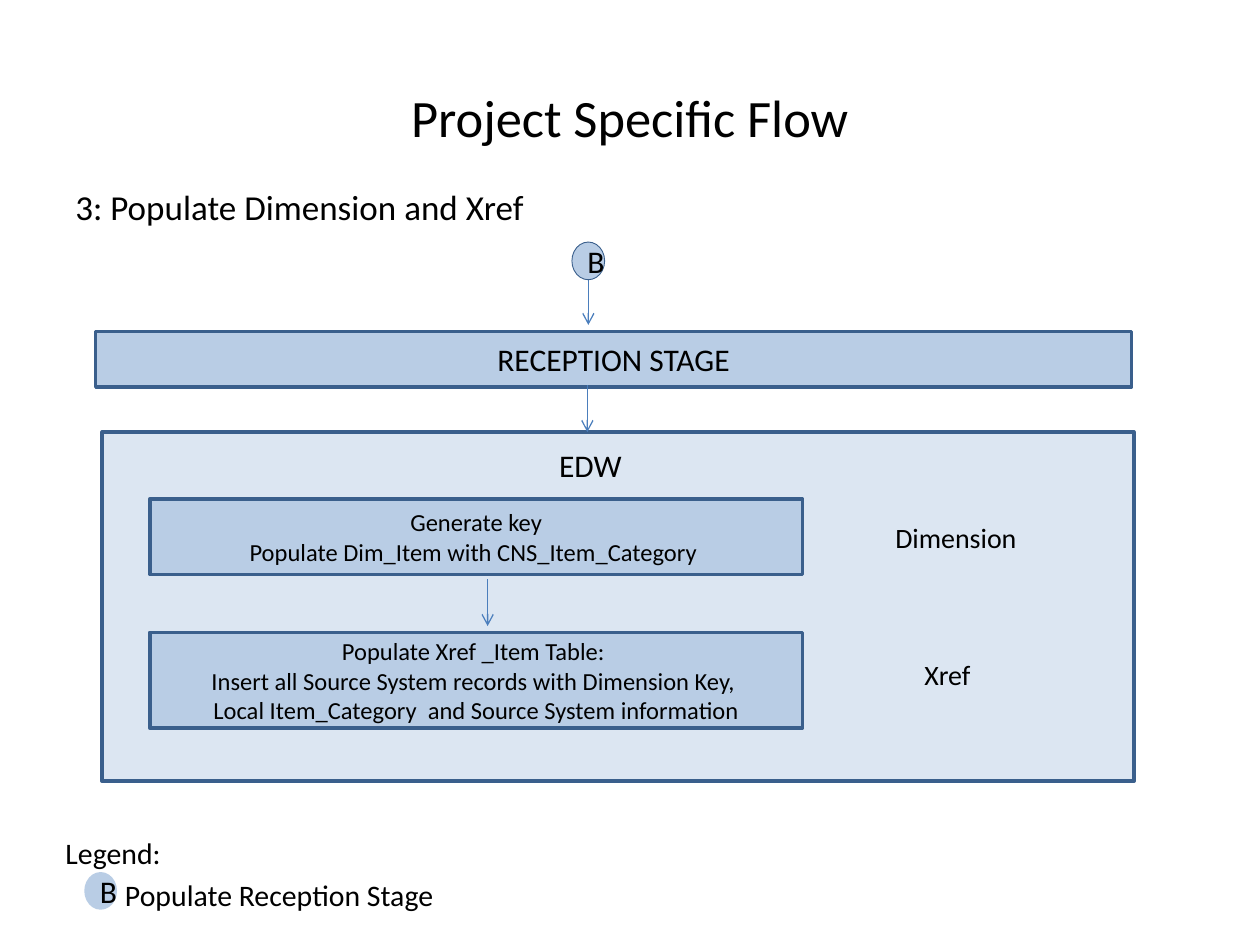
from pptx import Presentation
from pptx.dml.color import RGBColor
from pptx.enum.shapes import MSO_CONNECTOR, MSO_SHAPE
from pptx.enum.text import MSO_ANCHOR, PP_ALIGN
from pptx.oxml.ns import qn
from pptx.util import Cm, Pt
from lxml.etree import SubElement

BLACK = RGBColor(0x00, 0x00, 0x00)
PALE = RGBColor(0xDC, 0xE6, 0xF2)
BLUE = RGBColor(0xB9, 0xCD, 0xE5)
OUTLINE = RGBColor(0x3A, 0x5F, 0x8C)
ARROW = RGBColor(0x4B, 0x7E, 0xBC)
CENTER, LEFT = PP_ALIGN.CENTER, PP_ALIGN.LEFT
MIDDLE, TOP = MSO_ANCHOR.MIDDLE, MSO_ANCHOR.TOP


def write(shape, lines, size, align=CENTER, anchor=MIDDLE, before=0):
    frame = shape.text_frame
    frame.word_wrap = True
    frame.vertical_anchor = anchor
    frame.text = "\n".join(lines)
    for para in frame.paragraphs:
        para.alignment = align
        para.space_before = Pt(before)
        para.font.name = "Calibri"
        para.font.size = Pt(size)
        para.font.color.rgb = BLACK


def add_box(kind, place, fill, line_width, lines=(), size=18):
    box = page.shapes.add_shape(kind, *map(Cm, place))
    box.shadow.inherit = False
    box.fill.solid()
    box.fill.fore_color.rgb = fill
    if line_width:
        box.line.color.rgb = OUTLINE
        box.line.width = Pt(line_width)
    else:
        box.line.fill.background()
    if lines:
        write(box, lines, size)


deck = Presentation()
deck.slide_width, deck.slide_height = Cm(25.4), Cm(19.05)
page = deck.slides.add_slide(deck.slide_layouts[6])

add_box(MSO_SHAPE.RECTANGLE, (2.06, 8.71, 20.8, 7.04), PALE, 2)

steps = [
    (10.06, 1.52, ["Generate key", "Populate Dim_Item with CNS_Item_Category "]),
    (12.75, 1.93, ["Populate Xref _Item Table: ",
                   "Insert all Source System records with Dimension Key, ",
                   "Local Item_Category  and Source System information"]),
]
for top, height, lines in steps:
    add_box(MSO_SHAPE.RECTANGLE, (3.02, top, 13.16, height), BLUE, 2, lines, 14)

add_box(MSO_SHAPE.RECTANGLE, (1.93, 6.68, 20.88, 1.12), BLUE, 2, ["RECEPTION STAGE"])

for x, start, end in [(11.86, 5.64, 6.55), (11.84, 7.77, 8.71), (9.83, 11.68, 12.62)]:
    arrow = page.shapes.add_connector(
        MSO_CONNECTOR.STRAIGHT, Cm(x), Cm(start), Cm(x), Cm(end))
    arrow.line.color.rgb = ARROW
    arrow.line.width = Pt(0.75)
    SubElement(arrow.line._get_or_add_ln(), qn("a:tailEnd"), type="arrow")
    SubElement(arrow._element.spPr, qn("a:effectLst"))

texts = [
    ((1.27, 0.76, 22.86, 3.18), ["Project Specific Flow"], 30, CENTER, MIDDLE, 0),
    ((1.27, 3.61, 22.86, 1.27), ["3: Populate Dimension and Xref"], 20, LEFT, TOP, 4),
    ((11.02, 8.86, 1.78, 1.02), ["EDW"], 18, LEFT, TOP, 0),
    ((17.68, 10.19, 3.18, 1.27), ["Dimension"], 16, CENTER, MIDDLE, 0),
    ((17.68, 12.95, 2.84, 1.27), ["Xref"], 16, CENTER, MIDDLE, 0),
    ((1.07, 16.71, 8.05, 1.9), ["Legend:", "Populate Reception Stage"], 17, LEFT, TOP, 3.4),
]
for place, lines, size, align, anchor, before in texts:
    label = page.shapes.add_textbox(*map(Cm, place))
    write(label, lines, size, align, anchor, before)

legend_entry = label.text_frame.paragraphs[1]
legend_entry._p.get_or_add_pPr().set("marL", str(Cm(1.2)))

for left, top, line_width in [(11.53, 4.88, 0.5), (1.7, 17.58, 0)]:
    add_box(MSO_SHAPE.FLOWCHART_CONNECTOR, (left, top, 0.66, 0.76), BLUE, line_width, ["B"])

deck.save("out.pptx")
